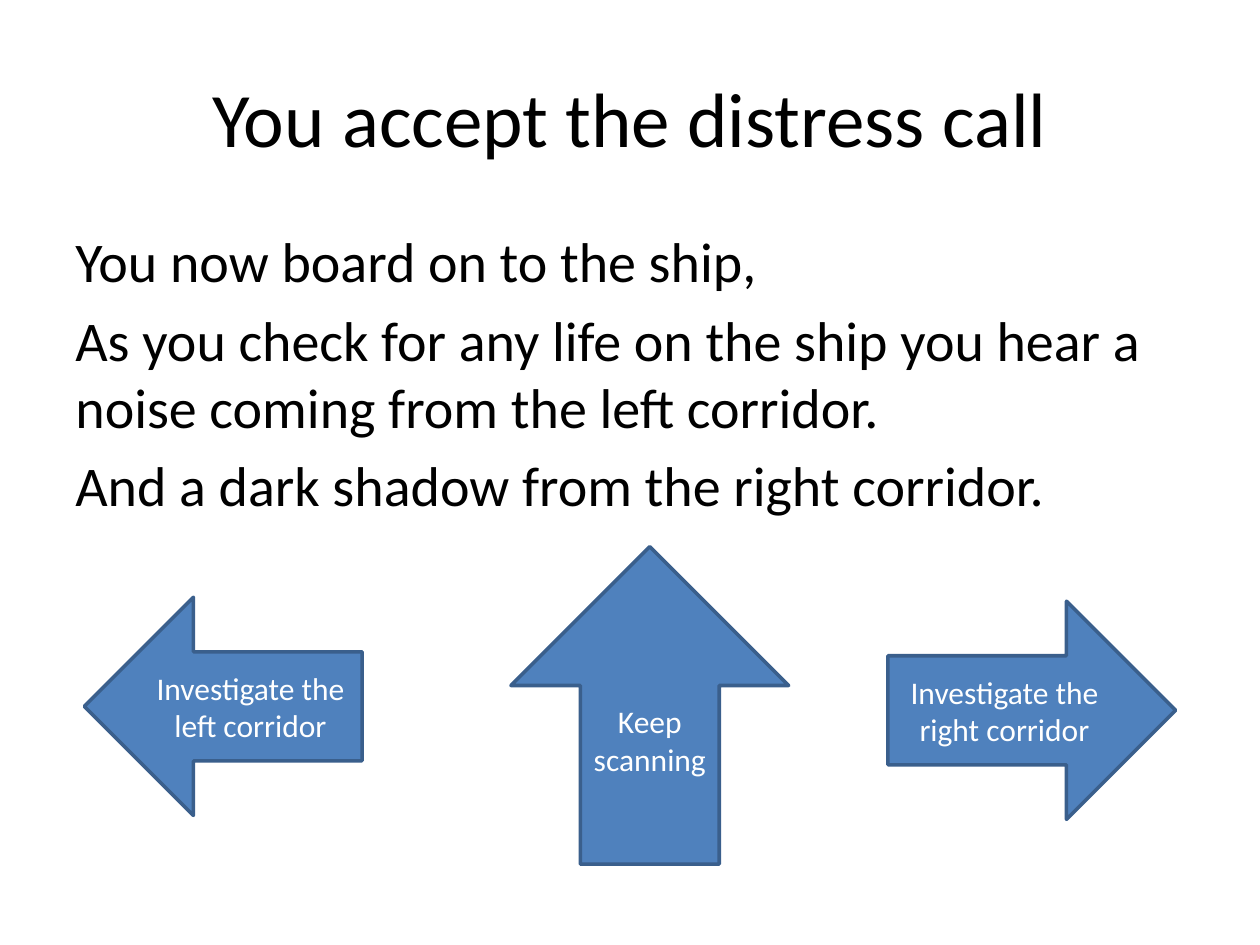
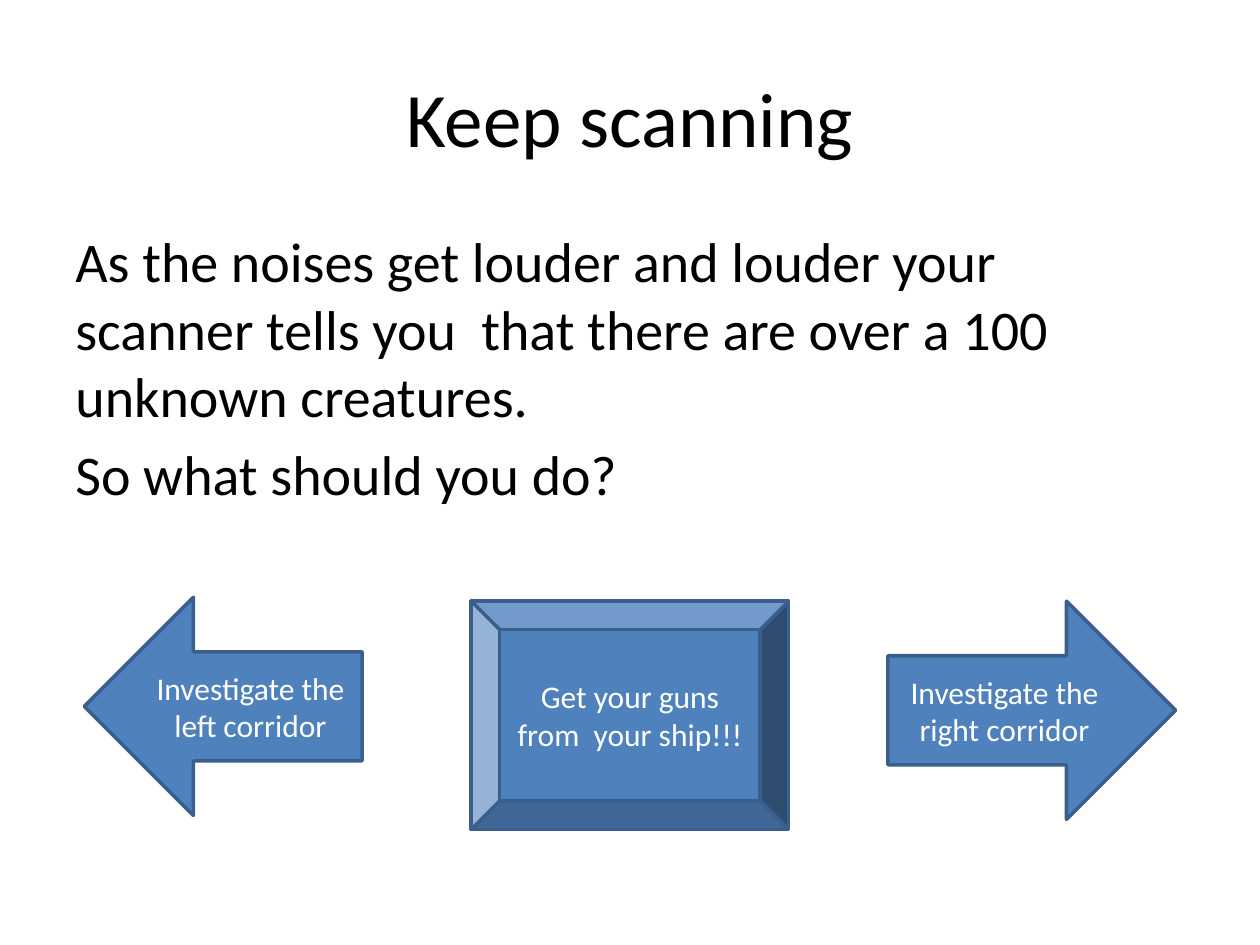
from pptx import Presentation
from pptx.dml.color import RGBColor
from pptx.enum.shapes import MSO_SHAPE
from pptx.enum.text import MSO_ANCHOR, PP_ALIGN
from pptx.util import Cm, Pt

LEFT, RIGHT = MSO_SHAPE.LEFT_ARROW, MSO_SHAPE.RIGHT_ARROW
UP, BEVEL = MSO_SHAPE.UP_ARROW, MSO_SHAPE.BEVEL
MIDDLE, CENTER = MSO_ANCHOR.MIDDLE, PP_ALIGN.CENTER

# Content: each choice is kind, label and box (left, top, width, height in cm)
SIDES = [
    (RIGHT, "Investigate the right corridor", (17.9, 12.12, 5.8, 4.4)),
    (LEFT, "Investigate the left corridor", (1.7, 12.04, 5.6, 4.4)),
]
SCENES = [
    {
        "title": "You accept the distress call",
        "story": [
            "You now board on to the ship,",
            "As you check for any life on the ship you hear a noise "
            "coming from the left corridor.",
            "And a dark shadow from the right corridor.",
        ],
        "middle": (UP, "Keep scanning", (10.3, 11.02, 5.6, 6.4)),
    },
    {
        "title": "Keep scanning",
        "story": [
            "As the noises get louder and louder your scanner tells you  "
            "that there are over a 100 unknown creatures.",
            "So what should you do?",
        ],
        "middle": (BEVEL, "Get your guns from  your ship!!!",
                   (9.5, 12.12, 6.4, 4.6)),
    },
]

# Shared look
FONT = "Calibri"
BLACK, WHITE, BLUE, EDGE = "000000", "FFFFFF", "4F81BD", "3A5F8C"
TITLE_BOX = (1.27, 0.76, 22.86, 3.18)
STORY_BOX = (1.27, 4.45, 22.86, 12.57)


def color(code):
    return RGBColor.from_string(code)


def lengths(box):
    return [Cm(n) for n in box]


def style(para, size, code, align=None):
    para.font.name = FONT
    para.font.size = Pt(size)
    para.font.color.rgb = color(code)
    para.alignment = align


def add_title(slide, text):
    title = slide.shapes.title
    title.left, title.top, title.width, title.height = lengths(TITLE_BOX)
    title.text_frame.text = text
    title.text_frame.vertical_anchor = MIDDLE
    style(title.text_frame.paragraphs[0], 44, BLACK, CENTER)


def add_story(slide, lines):
    frame = slide.shapes.add_textbox(*lengths(STORY_BOX)).text_frame
    frame.word_wrap = True
    frame.text = "\n".join(lines)
    for para in frame.paragraphs:
        style(para, 32, BLACK)
        para.space_before = Pt(6.4)


def add_choice(slide, kind, label, box):
    shape = slide.shapes.add_shape(kind, *lengths(box))
    shape.shadow.inherit = False
    shape.fill.solid()
    shape.fill.fore_color.rgb = color(BLUE)
    shape.line.color.rgb = color(EDGE)
    shape.line.width = Pt(2)
    frame = shape.text_frame
    frame.word_wrap = True
    frame.vertical_anchor = MIDDLE
    frame.text = label
    style(frame.paragraphs[0], 18, WHITE, CENTER)


def main():
    deck = Presentation()
    deck.slide_width, deck.slide_height = Cm(25.4), Cm(19.05)
    layout = deck.slide_layouts.get_by_name("Title Only")
    for scene in SCENES:
        slide = deck.slides.add_slide(layout)
        add_title(slide, scene["title"])
        add_story(slide, scene["story"])
        for choice in SIDES + [scene["middle"]]:
            add_choice(slide, *choice)
    deck.save("out.pptx")


if __name__ == "__main__":
    main()
